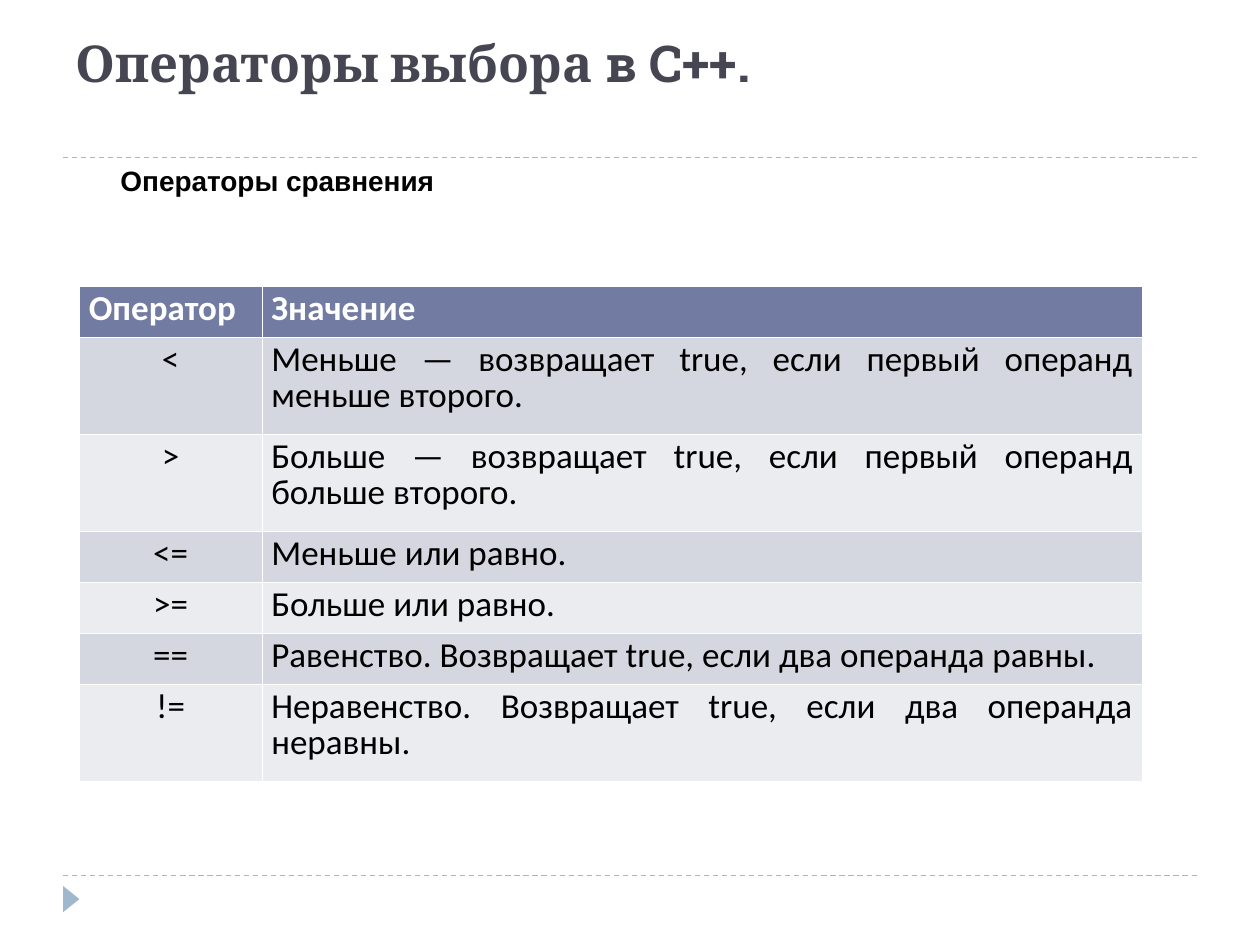
from lxml import etree
from pptx import Presentation
from pptx import util as u
from pptx.dml.color import RGBColor
from pptx.enum import dml, shapes, text
from pptx.oxml.ns import qn

COLOURS = {
    "title": "464653", "text": "000000", "white": "FFFFFF", "accent": "9FB8CD",
    "header": "727CA3", "band_dark": "D5D7E0", "band_light": "EBECF0",
}
SHORT_ROW, TALL_ROW = 1.03, 1.95
OPERATORS = [
    ("<", "Меньше — возвращает true, если первый операнд меньше второго.", TALL_ROW),
    (">", "Больше — возвращает true, если первый операнд больше второго.", TALL_ROW),
    ("<=", "Меньше или равно.", SHORT_ROW),
    (">=", "Больше или равно.", SHORT_ROW),
    ("==", "Равенство. Возвращает true, если два операнда равны.", SHORT_ROW),
    ("!=", "Неравенство. Возвращает true, если два операнда неравны.", TALL_ROW),
]


def colour(name):
    return RGBColor.from_string(COLOURS[name])


class SlideBuilder:
    """Holds the style and the current slide."""

    def __init__(self, page):
        self.page = page

    def place(self, shape, left, top, width, height):
        shape.left, shape.top = u.Cm(left), u.Cm(top)
        shape.width, shape.height = u.Cm(width), u.Cm(height)

    def span(self, para, words, font, size, name, bold=False):
        span = para.add_run()
        span.text = words
        span.font.name, span.font.size, span.font.bold = font, u.Pt(size), bold
        span.font.color.rgb = colour(name)

    def title(self, parts, *area):
        box = self.page.shapes.title
        self.place(box, *area)
        frame = box.text_frame
        frame.auto_size = text.MSO_AUTO_SIZE.NONE
        frame.vertical_anchor = text.MSO_ANCHOR.BOTTOM
        para = frame.paragraphs[0]
        para.alignment = text.PP_ALIGN.LEFT
        for words, font in parts:
            self.span(para, words, font, 29, "title", True)

    def label(self, words, *area):
        box = self.page.shapes.add_textbox(*map(u.Cm, area))
        box.text_frame.word_wrap = True
        self.span(box.text_frame.paragraphs[0], words, "Arial", 16, "text", True)

    def rule(self, top, left=1.27, right=24.13):
        line = self.page.shapes.add_connector(
            shapes.MSO_CONNECTOR.STRAIGHT, u.Cm(left), u.Cm(top), u.Cm(right), u.Cm(top))
        line.line.color.rgb = colour("accent")
        line.line.width = u.Pt(0.75)
        line.line.dash_style = dml.MSO_LINE.DASH
        etree.SubElement(line._element.spPr, qn("a:effectLst"))

    def marker(self, *area):
        marker = self.page.shapes.add_shape(
            shapes.MSO_SHAPE.ISOSCELES_TRIANGLE, *map(u.Cm, area))
        marker.rotation = 90
        marker.shadow.inherit = False
        marker.fill.solid()
        marker.fill.fore_color.rgb = colour("accent")
        marker.line.fill.background()

    def borders(self, cell, widths):
        properties = cell._tc.get_or_add_tcPr()
        for position, (side, width) in enumerate(widths.items()):
            border = etree.Element(qn(f"a:ln{side}"), w=str(u.Pt(width)))
            fill = etree.SubElement(border, qn("a:solidFill"))
            etree.SubElement(fill, qn("a:srgbClr"), val=COLOURS["white"])
            properties.insert(position, border)

    def cell(self, cell, words, fill, ink, align, bold, widths):
        cell.fill.solid()
        cell.fill.fore_color.rgb = colour(fill)
        cell.margin_left = cell.margin_right = u.Cm(0.19)
        cell.margin_top = cell.margin_bottom = u.Cm(0.12)
        para = cell.text_frame.paragraphs[0]
        para.alignment = align
        para.line_spacing, para.space_after = 0.83, u.Pt(2)
        self.span(para, words, "Calibri", 20, ink, bold)
        self.borders(cell, widths)

    def table(self, header, rows, columns, left, top):
        heights = [SHORT_ROW] + [height for *_, height in rows]
        table = self.page.shapes.add_table(
            len(heights), len(columns), u.Cm(left), u.Cm(top),
            u.Cm(sum(columns)), u.Cm(sum(heights))).table
        for column, width in zip(table.columns, columns):
            column.width = u.Cm(width)
        for index, (row, height) in enumerate(zip(table.rows, heights)):
            row.height = u.Cm(height)
            is_header = index == 0
            words = header if is_header else rows[index - 1][:2]
            fill = "header" if is_header else ("band_light", "band_dark")[index % 2]
            widths = {"L": 0.23, "R": 0.23,
                      "T": 0.75 if index == 1 else 0.23,
                      "B": 0.75 if is_header else 0.23}
            for number, cell in enumerate(row.cells):
                centred = number == 0 and not is_header
                align = text.PP_ALIGN.CENTER if centred else text.PP_ALIGN.JUSTIFY
                self.cell(cell, words[number], fill, "white" if is_header else "text",
                          align, is_header, widths)


def main():
    deck = Presentation()
    deck.slide_width, deck.slide_height = u.Cm(25.4), u.Cm(19.05)
    slide = SlideBuilder(deck.slides.add_slide(deck.slide_layouts[5]))

    # Dashed rules and corner marker
    for top in (17.65, 3.18):
        slide.rule(top)
    slide.marker(1.17, 17.96, 0.53, 0.33)

    # Title and subtitle
    slide.title([("Операторы выбора", "Cambria"), (" в C++.", "Roboto Slab")],
                1.27, 0.64, 22.86, 1.35)
    slide.label("Операторы сравнения", 2.18, 3.18, 19.05, 0.94)

    # Comparison operators
    slide.table(("Оператор", "Значение"), OPERATORS, (3.68, 17.75), 1.6, 5.77)

    deck.save("out.pptx")


if __name__ == "__main__":
    main()
